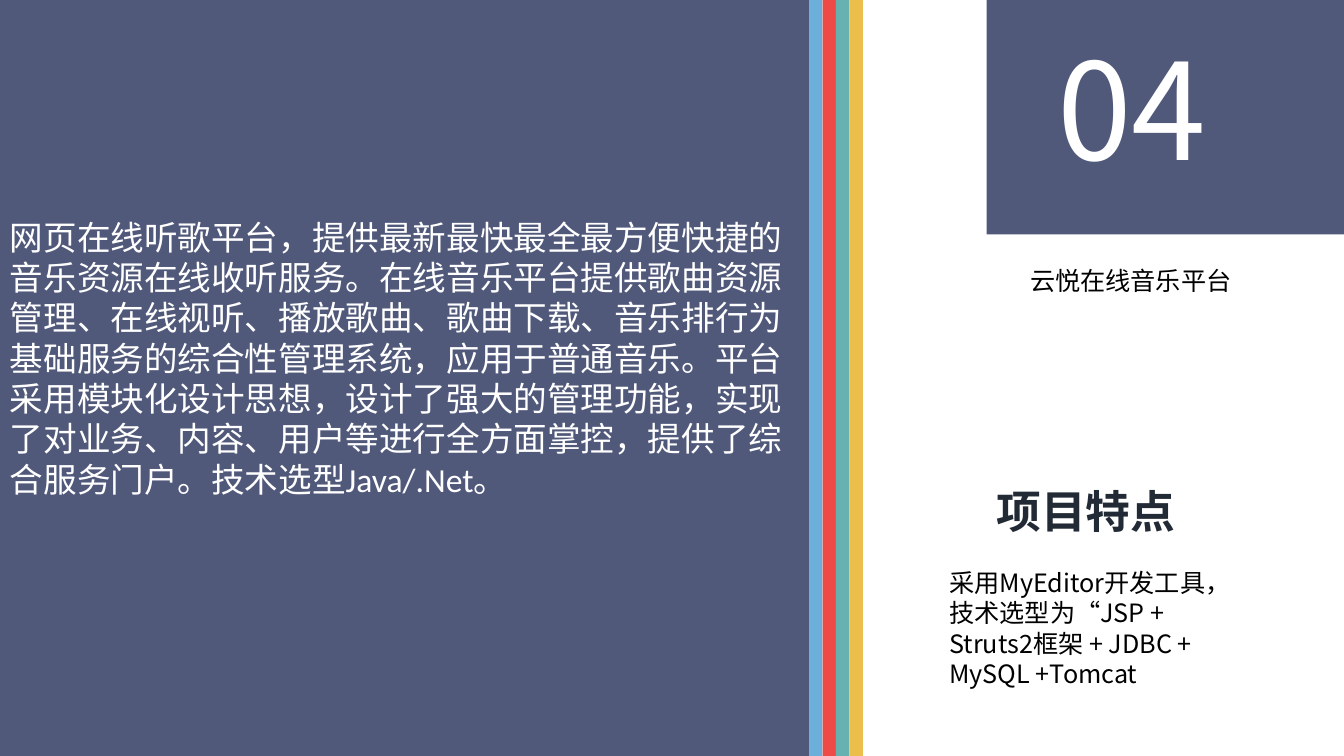
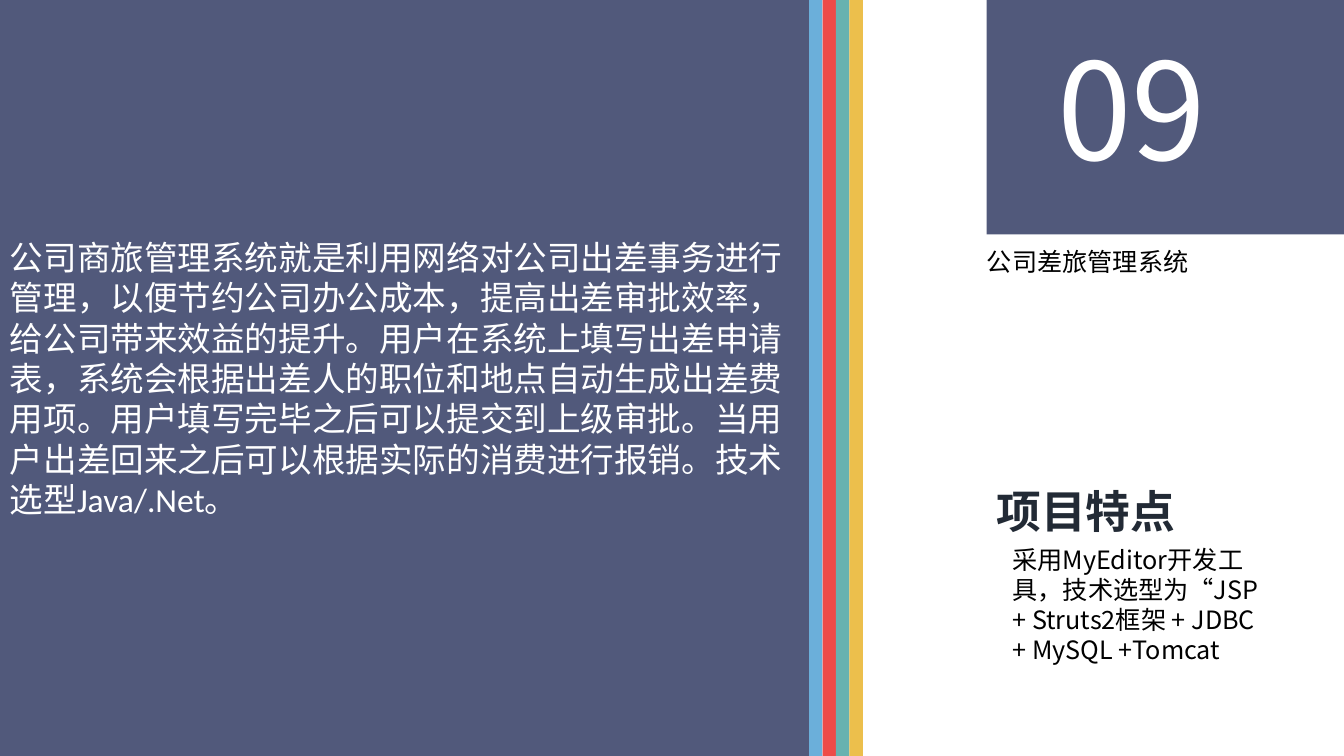
from pptx import Presentation
from pptx.dml.color import RGBColor as Rgb
from pptx.enum.shapes import MSO_SHAPE as Kind
from pptx.enum.text import MSO_ANCHOR as Anchor, MSO_AUTO_SIZE as Auto, PP_ALIGN as Align
from pptx.oxml.ns import qn
from pptx.util import Inches, Pt
from lxml.etree import SubElement as Sub

WIDE, HIGH = Inches(13.34), Inches(7.5)
COL, ROW = WIDE / 100, HIGH / 100
NAVY, WHITE, BLACK, DARK = "51597B", "FFFFFF", "000000", "222A35"
BANDS = ["6BAFDA", "EE4B48", "67B2B0", "ECBF4C"]
SANS, HAN = "Calibri", "Noto Sans CJK SC"

PANEL = (0, 0, 60.2, 100)
STRIPE = (60.2, 0, 4, 100)
BADGE = (73.4, 0, 26.6, 31)
HEAD = (73.4, 61.2, 14.85, 10.7)

STACK = "采用MyEditor开发工具，技术选型为“JSP + Struts2框架 + JDBC + MySQL +Tomcat"
SLIDES = [
    dict(
        num="04",
        name="云悦在线音乐平台",
        about="网页在线听歌平台，提供最新最快最全最方便快捷的音乐资源在线收听服务。"
              "在线音乐平台提供歌曲资源管理、在线视听、播放歌曲、歌曲下载、音乐排行为"
              "基础服务的综合性管理系统，应用于普通音乐。平台采用模块化设计思想，"
              "设计了强大的管理功能，实现了对业务、内容、用户等进行全方面掌控，"
              "提供了综合服务门户。技术选型Java/.Net。",
        lift=0.4,
        label=(75.9, 34.4, 16.5, 5.4),
        notes=(69.9, 74.4, 22.6, 17.3),
    ),
    dict(
        num="09",
        name="公司差旅管理系统",
        about="公司商旅管理系统就是利用网络对公司出差事务进行管理，以便节约公司办公成本，"
              "提高出差审批效率，给公司带来效益的提升。用户在系统上填写出差申请表，"
              "系统会根据出差人的职位和地点自动生成出差费用项。用户填写完毕之后可以"
              "提交到上级审批。当用户出差回来之后可以根据实际的消费进行报销。"
              "技术选型Java/.Net。",
        lift=0,
        label=(72.7, 31.9, 16.5, 5.4),
        notes=(74.6, 71.3, 20.4, 17.3),
    ),
]


def color(code):
    return Rgb.from_string(code)


def place(box):
    x, y, w, h = box
    return round(x * COL), round(y * ROW), round(w * COL), round(h * ROW)


def block(shapes, box, fill):
    shape = shapes.add_shape(Kind.RECTANGLE, *place(box))
    shape.shadow.inherit = False
    shape.fill.solid()
    shape.fill.fore_color.rgb = color(fill)
    shape.line.fill.background()
    return shape


def write(shape, text, size, face, ink, bold=False, space=None):
    para = shape.text_frame.paragraphs[0]
    para.text = text
    para.alignment = Align.LEFT
    para.line_spacing = space
    for run in para.runs:
        font = run.font
        font.size, font.name, font.bold = Pt(size), face, bold
        font.color.rgb = color(ink)
        Sub(font._element, qn("a:ea")).set("typeface", HAN)


def panel(slide, box, text, lift):
    shape = block(slide.shapes, box, NAVY)
    frame = shape.text_frame
    frame.word_wrap = True
    frame.vertical_anchor = Anchor.MIDDLE
    frame.margin_bottom = Inches(0.05 + lift)
    write(shape, text, 24, SANS, WHITE)


def stripe(slide, box):
    x, y, w, h = box
    group = slide.shapes.add_group_shape()
    step = w / len(BANDS)
    for i, fill in enumerate(BANDS):
        block(group.shapes, (x + i * step, y, step, h), fill)


def badge(slide, box, num):
    shape = block(slide.shapes, box, NAVY)
    shape.text_frame.vertical_anchor = Anchor.MIDDLE
    shape.text_frame.margin_left = Inches(0.7)
    write(shape, num, 96, HAN, WHITE, space=0.9)


def note(slide, box, text, size, face, ink, wrap=False, **style):
    shape = slide.shapes.add_textbox(*place(box))
    shape.text_frame.word_wrap = wrap
    shape.text_frame.auto_size = Auto.SHAPE_TO_FIT_TEXT
    write(shape, text, size, face, ink, **style)


def build(deck, data):
    slide = deck.slides.add_slide(deck.slide_layouts[6])
    panel(slide, PANEL, data["about"], data["lift"])
    stripe(slide, STRIPE)
    badge(slide, BADGE, data["num"])
    note(slide, data["label"], data["name"], 18, SANS, BLACK)
    note(slide, HEAD, "项目特点", 32, HAN, DARK, bold=True, space=1.3)
    note(slide, data["notes"], STACK, 18, HAN, BLACK, wrap=True)


def main():
    deck = Presentation()
    deck.slide_width, deck.slide_height = WIDE, HIGH
    for data in SLIDES:
        build(deck, data)
    deck.save("out.pptx")


if __name__ == "__main__":
    main()
